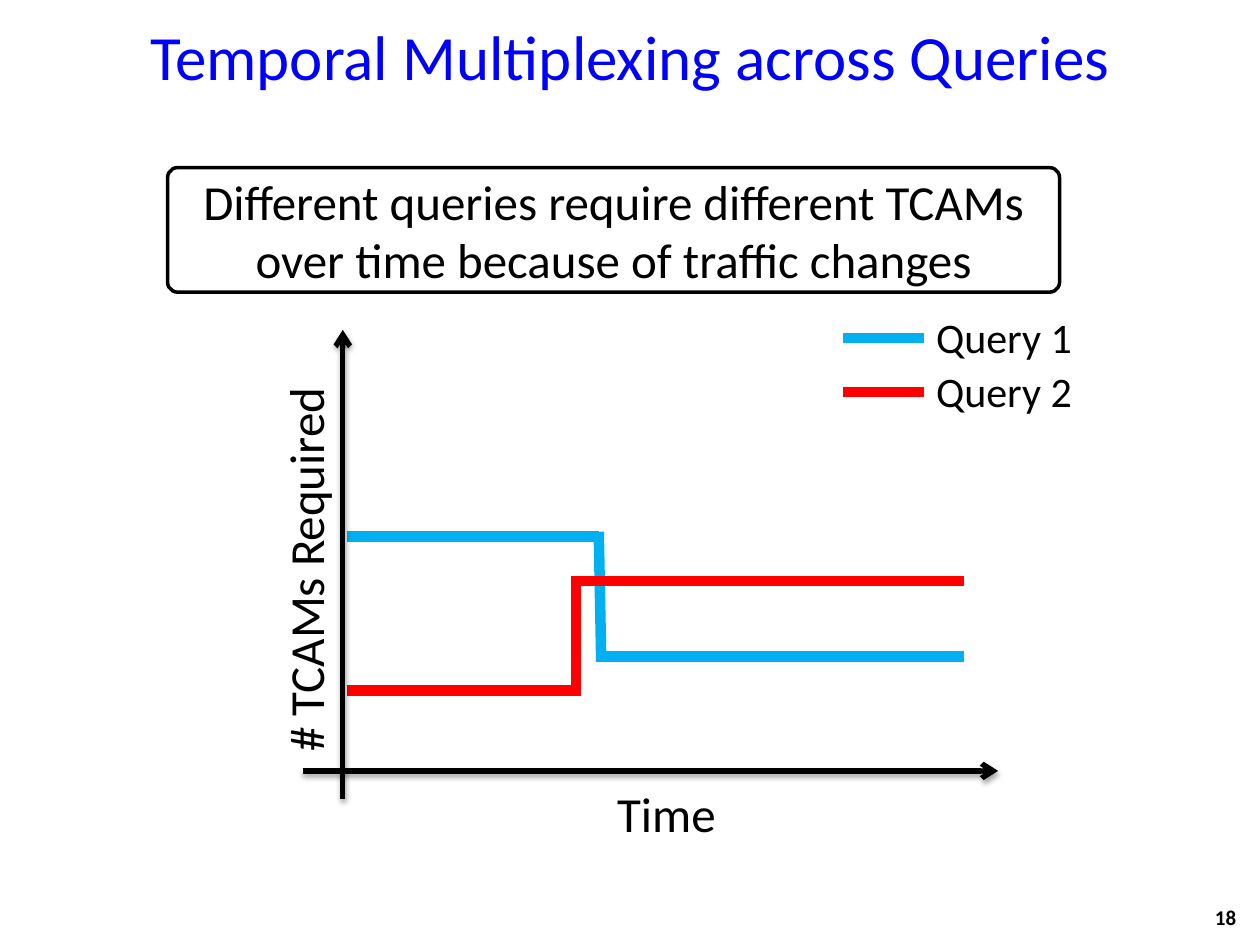
from lxml.etree import SubElement
from pptx import Presentation
from pptx.dml.color import RGBColor
from pptx.enum.shapes import MSO_CONNECTOR, MSO_SHAPE
from pptx.enum.text import MSO_ANCHOR, PP_ALIGN
from pptx.oxml.ns import qn
from pptx.util import Cm, Pt

BLACK = RGBColor(0, 0, 0)
WHITE = RGBColor(255, 255, 255)
BLUE = RGBColor(0, 0, 255)
SKY = RGBColor(0, 176, 240)
RED = RGBColor(255, 0, 0)


def write(shape, text, size, align=PP_ALIGN.LEFT, anchor=MSO_ANCHOR.TOP,
          color=BLACK, bold=False):
    frame = shape.text_frame
    frame.word_wrap = True
    frame.vertical_anchor = anchor
    frame.text = text
    para = frame.paragraphs[0]
    para.alignment = align
    font = para.runs[0].font
    font.name, font.size, font.bold = "Calibri", Pt(size), bold
    font.color.rgb = color


def draw(x1, y1, x2, y2, color, width):
    line = slide.shapes.add_connector(
        MSO_CONNECTOR.STRAIGHT, Cm(x1), Cm(y1), Cm(x2), Cm(y2))
    line.line.color.rgb = color
    line.line.width = Pt(width)
    effect = SubElement(line._element.spPr, qn("a:effectLst"))
    return line, effect


deck = Presentation()
deck.slide_width, deck.slide_height = Cm(25.4), Cm(19.05)
slide = deck.slides.add_slide(deck.slide_layouts[5])
shapes = slide.shapes

# Title
title = shapes.title
title.left, title.top, title.width, title.height = Cm(0), Cm(0.13), Cm(25.4), Cm(1.98)
write(title, "Temporal Multiplexing across Queries", 36,
      PP_ALIGN.CENTER, MSO_ANCHOR.MIDDLE, BLUE)

# Slide number
num = shapes.add_textbox(Cm(19.25), Cm(17.98), Cm(5.92), Cm(1.02))
write(num, "18", 12, PP_ALIGN.RIGHT, MSO_ANCHOR.MIDDLE, bold=True)

# Axis labels
label = shapes.add_textbox(Cm(2.41), Cm(9.98), Cm(8.43), Cm(2.41))
label.rotation = 270
write(label, "# TCAMs Required", 28)
label = shapes.add_textbox(Cm(10.36), Cm(15.67), Cm(6.15), Cm(1.45))
write(label, "Time", 28, PP_ALIGN.CENTER)

# Step curves: two levels, then the jump between them
for color, steps in (
    (SKY, ((6.99, 10.82, 12.07, 10.82), (12.01, 13.23, 19.43, 13.23),
           (12.07, 10.72, 12.12, 13.34))),
    (RED, ((6.99, 13.92, 11.71, 13.92), (11.51, 11.71, 19.43, 11.71),
           (11.61, 11.61, 11.61, 14.02))),
):
    for step in steps:
        draw(*step, color, 6)

# Axes with arrowheads and a soft shadow
for ends in ((6.91, 16.1, 6.91, 6.65), (6.1, 15.54, 20.12, 15.54)):
    axis, effect = draw(*ends, BLACK, 3)
    SubElement(axis.line._get_or_add_ln(), qn("a:tailEnd"), type="arrow")
    shade = SubElement(effect, qn("a:outerShdw"), blurRad="40000",
                       dist="23000", dir="5400000", rotWithShape="0")
    tint = SubElement(shade, qn("a:srgbClr"), val="000000")
    SubElement(tint, qn("a:alpha"), val="35000")

# Legend
for row, (name, color) in enumerate((("Query 1", SKY), ("Query 2", RED))):
    top = 6.15 + 1.09 * row
    label = shapes.add_textbox(Cm(18.62), Cm(top), Cm(3.71), Cm(1.27))
    write(label, name, 24)
    draw(16.99, top + 0.66, 18.62, top + 0.66, color, 6)

# Message box
box = shapes.add_shape(MSO_SHAPE.ROUNDED_RECTANGLE,
                       Cm(3.38), Cm(3.38), Cm(17.98), Cm(2.51))
box.adjustments[0] = 0.08
box.shadow.inherit = False
box.fill.solid()
box.fill.fore_color.rgb = WHITE
box.line.color.rgb = BLACK
box.line.width = Pt(2)
write(box, "Different queries require different TCAMs over time because of "
      "traffic changes", 28, PP_ALIGN.CENTER, MSO_ANCHOR.MIDDLE)

deck.save("out.pptx")
